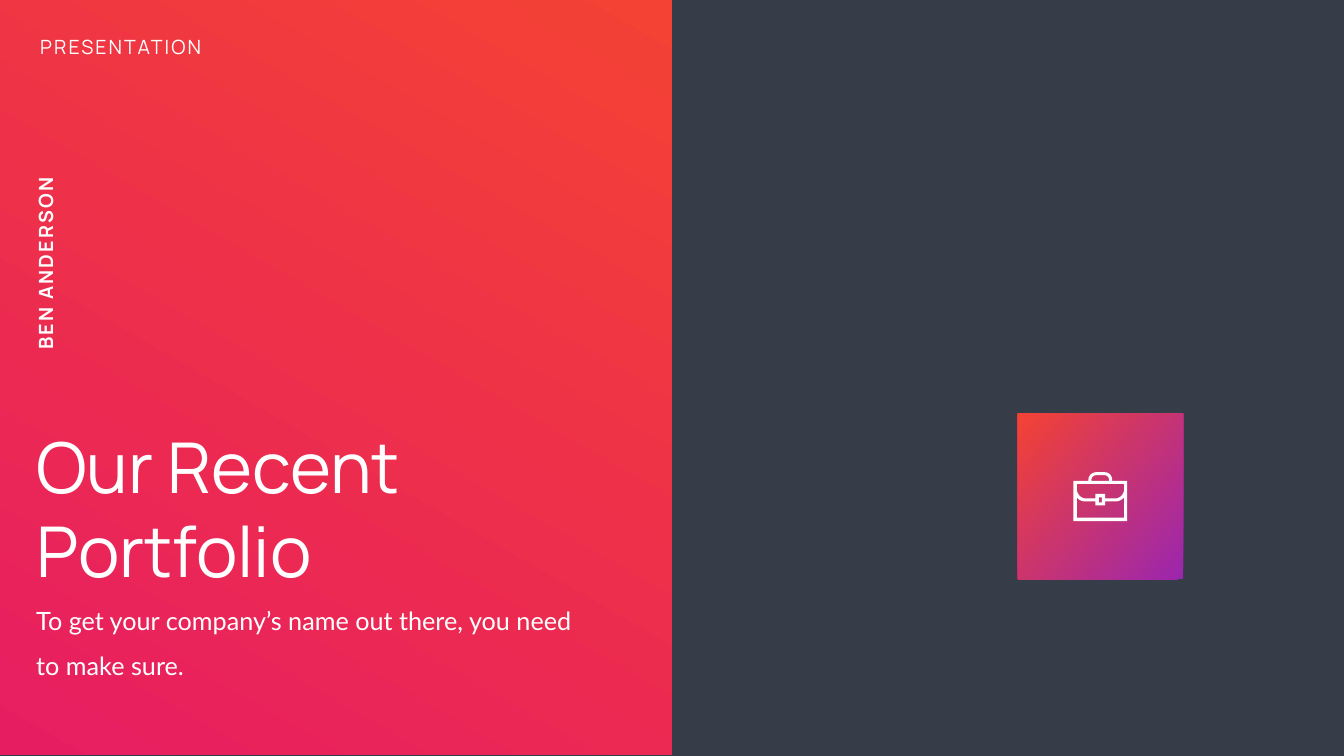
from pptx import Presentation
from pptx import util as u
from pptx.dml.color import RGBColor
from pptx.enum import shapes, text

COLORS = {"slate": "363D48", "orange": "F44234", "pink": "E71D62",
          "purple": "9B26AE", "white": "FFFFFF"}

# box (left, top, width, height), colour stops, clockwise angle
PANELS = [
    ((0, 0, 13.33, 14.98), ("orange", "pink"), 120),
    ((20.19, 8.21, 3.28, 3.28), ("purple", "orange"), 220),
]

HEADING = [
    dict(words="Our Recent Portfolio", box=(0.62, 8.35, 12.71, 3.47),
         size=100, font="Manrope"),
    dict(words="To get your company’s name out there, you need to make sure.",
         box=(0.62, 11.66, 11.38, 1.81), size=36, font="Lato", line_spacing=1.5),
]
LABELS = [
    dict(words="BEN ANDERSON", box=(-0.93, 4.92, 3.66, 0.57), size=28,
         font="Manrope", bold=True, tracking=3, wrap=False, rotation=270),
    dict(words="PRESENTATION", box=(0.7, 0.65, 3.4, 0.57), size=28,
         font="Manrope", tracking=3, wrap=False),
]

# Closed contours: a pair is a corner, six numbers are a Bezier curve
BRIEFCASE = [
    # flap
    [(22.12, 9.89), (21.92, 9.89), (21.92, 9.8), (21.73, 9.8), (21.73, 9.89),
     (21.54, 9.89), (21.44, 9.89, 21.36, 9.8, 21.36, 9.7), (21.36, 9.6),
     (22.3, 9.6), (22.3, 9.7), (22.3, 9.8, 22.22, 9.89, 22.12, 9.89)],
    # clasp
    [(21.8, 9.87), (21.86, 9.87), (21.86, 9.97), (21.8, 9.97)],
    # body
    [(22.3, 10.27), (21.36, 10.27), (21.36, 9.87),
     (21.4, 9.92, 21.46, 9.95, 21.54, 9.95), (21.73, 9.95), (21.73, 10.03),
     (21.92, 10.03), (21.92, 9.95), (22.12, 9.95),
     (22.19, 9.95, 22.25, 9.92, 22.3, 9.87)],
    # handle opening
    [(21.65, 9.52), (21.65, 9.47, 21.69, 9.43, 21.74, 9.43), (21.92, 9.43),
     (21.96, 9.43, 22, 9.47, 22, 9.52), (22, 9.54), (21.65, 9.54)],
    # outer edge
    [(22.06, 9.54), (22.06, 9.52), (22.06, 9.44, 22, 9.37, 21.92, 9.37),
     (21.74, 9.37), (21.66, 9.37, 21.59, 9.44, 21.59, 9.52), (21.59, 9.54),
     (21.29, 9.54), (21.29, 10.34), (22.36, 10.34), (22.36, 9.54)],
]
CURVE_STEPS = 10


def rgb(name):
    return RGBColor.from_string(COLORS[name])


def inches(values):
    return [u.Inches(value) for value in values]


def add_panel(parent, box, stops, angle):
    panel = parent.add_shape(shapes.MSO_SHAPE.RECTANGLE, *inches(box))
    panel.shadow.inherit = False
    panel.line.fill.background()
    panel.fill.gradient()
    panel.fill.gradient_angle = 360 - angle  # python-pptx counts anticlockwise
    for stop, color, position in zip(panel.fill.gradient_stops, stops, (0, 1)):
        stop.color.rgb = rgb(color)
        stop.position = position


def add_words(parent, words, box, size, font, bold=False, tracking=0,
              wrap=True, rotation=0, line_spacing=None):
    holder = parent.add_textbox(*inches(box))
    holder.rotation = rotation
    frame = holder.text_frame
    frame.word_wrap = wrap
    frame.auto_size = text.MSO_AUTO_SIZE.SHAPE_TO_FIT_TEXT
    paragraph = frame.paragraphs[0]
    paragraph.line_spacing = line_spacing
    run = paragraph.add_run()
    run.text = words
    run.font.name = font
    run.font.size = u.Pt(size)
    run.font.bold = bold
    run.font.color.rgb = rgb("white")
    if tracking:
        run._r.get_or_add_rPr().set("spc", str(tracking * 100))


def flatten(contour):
    """Turn a contour into corner points, sampling its curves."""
    points = []
    for step in contour:
        if len(step) == 2:
            points.append(step)
            continue
        start = points[-1]
        ends = (start, step[0:2], step[2:4], step[4:6])
        for i in range(1, CURVE_STEPS + 1):
            t = i / CURVE_STEPS
            weights = ((1 - t) ** 3, 3 * t * (1 - t) ** 2,
                       3 * t ** 2 * (1 - t), t ** 3)
            points.append(tuple(sum(w * end[axis] for w, end in zip(weights, ends))
                                for axis in (0, 1)))
    return [inches(point) for point in points]


def add_briefcase(parent):
    first, *others = [flatten(contour) for contour in BRIEFCASE]
    builder = parent.build_freeform(*first[0])
    builder.add_line_segments(first[1:], close=True)
    for points in others:
        builder.move_to(*points[0])
        builder.add_line_segments(points[1:], close=True)
    briefcase = builder.convert_to_shape()
    briefcase.shadow.inherit = False
    briefcase.fill.solid()
    briefcase.fill.fore_color.rgb = rgb("white")
    briefcase.line.fill.background()


def main():
    deck = Presentation()
    deck.slide_width, deck.slide_height = inches((26.66, 15))
    slide = deck.slides.add_slide(deck.slide_layouts[6])
    slide.background.fill.solid()
    slide.background.fill.fore_color.rgb = rgb("slate")

    backdrop, icon_tile = PANELS
    add_panel(slide.shapes, *backdrop)
    heading = slide.shapes.add_group_shape()
    for item in HEADING:
        add_words(heading.shapes, **item)
    for item in LABELS:
        add_words(slide.shapes, **item)
    add_panel(slide.shapes, *icon_tile)
    add_briefcase(slide.shapes)
    deck.save("out.pptx")


if __name__ == "__main__":
    main()
